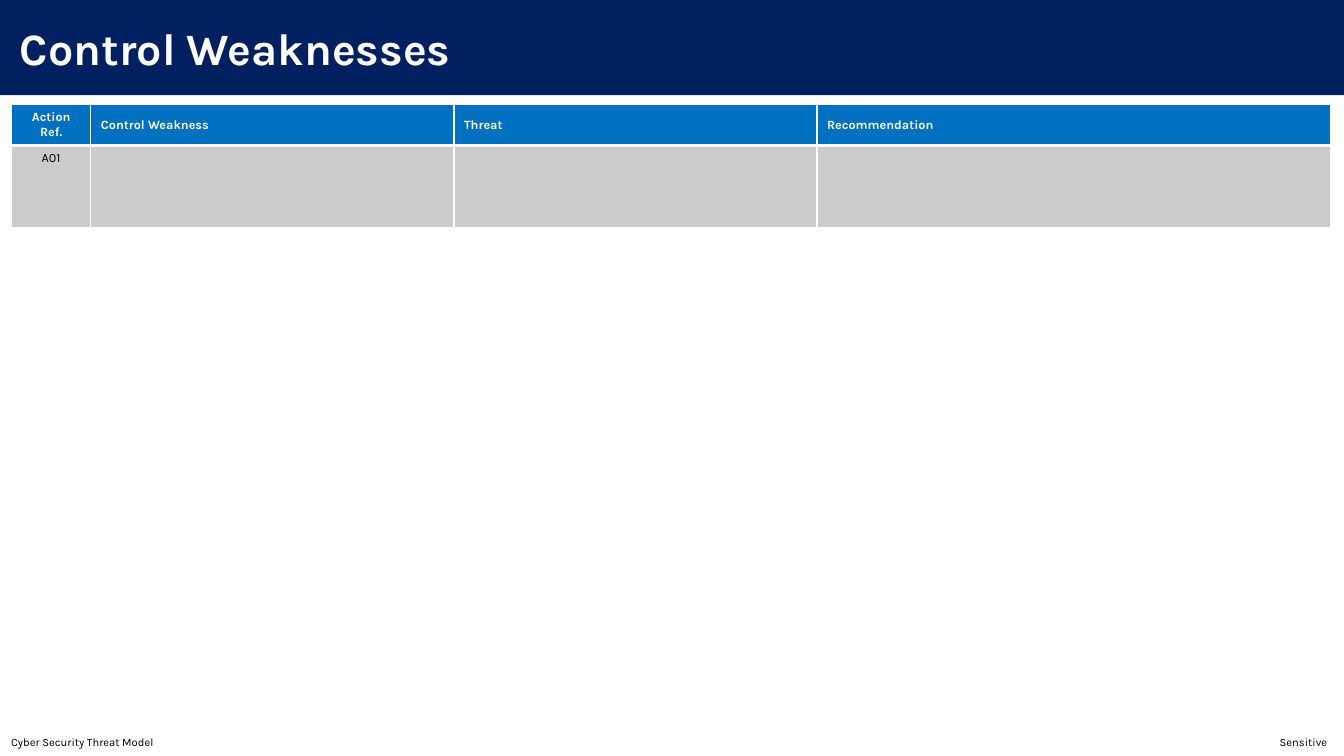
from dataclasses import dataclass

from lxml.etree import SubElement
from pptx import Presentation
from pptx.dml.color import RGBColor
from pptx.enum.text import MSO_ANCHOR as Anchor, MSO_AUTO_SIZE as AutoSize, PP_ALIGN as Align
from pptx.oxml.ns import qn
from pptx.util import Cm, Pt

NAVY = RGBColor(0x00, 0x20, 0x60)
BLUE = RGBColor(0x00, 0x70, 0xC0)
GREY = RGBColor(0xCB, 0xCB, 0xCB)
WHITE = RGBColor(0xFF, 0xFF, 0xFF)
BLACK = RGBColor(0x00, 0x00, 0x00)
FONT = "Karla"
PAGE_WIDTH, PAGE_HEIGHT = Cm(33.87), Cm(19.05)


@dataclass
class Column:
    heading: str
    width: float
    entry: str = ""
    align: Align = Align.LEFT


@dataclass
class RowStyle:
    height: float
    fill: RGBColor
    color: RGBColor
    bold: bool
    anchor: Anchor
    rule_below: float


COLUMNS = [
    Column("Action Ref.", 2.0, "A01", Align.CENTER),
    Column("Control Weakness", 9.15),
    Column("Threat", 9.15),
    Column("Recommendation", 12.95),
]
HEADER = RowStyle(1.04, BLUE, WHITE, True, Anchor.MIDDLE, 3)
BODY = RowStyle(2.06, GREY, BLACK, False, Anchor.TOP, 1)


def style_para(para, size: float, color: RGBColor, bold: bool = False,
               align: Align = Align.LEFT) -> None:
    para.alignment = align
    para.font.name = FONT
    para.font.size = Pt(size)
    para.font.bold = bold
    para.font.color.rgb = color


def add_borders(cell, widths: dict[str, float]) -> None:
    """Draw white cell edges, keyed by side; they must precede the fill."""
    props = cell._tc.get_or_add_tcPr()
    for side, width in widths.items():
        edge = SubElement(props, qn(f"a:ln{side}"), w=str(Pt(width)))
        fill = SubElement(edge, qn("a:solidFill"))
        SubElement(fill, qn("a:srgbClr"), val=str(WHITE))


def fill_cell(cell, text: str, align: Align, style: RowStyle, rule_above: float) -> None:
    add_borders(cell, {"L": 1, "R": 1, "T": rule_above, "B": style.rule_below})
    cell.fill.solid()
    cell.fill.fore_color.rgb = style.fill
    cell.vertical_anchor = style.anchor
    cell.text = text
    style_para(cell.text_frame.paragraphs[0], 9, style.color, style.bold, align)


deck = Presentation()
deck.slide_width, deck.slide_height = PAGE_WIDTH, PAGE_HEIGHT
page = deck.slides.add_slide(deck.slide_layouts[5])

# Title band
title = page.shapes.title
title.left, title.top, title.width, title.height = 0, 0, PAGE_WIDTH, Cm(2.4)
title.fill.solid()
title.fill.fore_color.rgb = NAVY
title.text_frame.text = "Control Weaknesses"
title.text_frame.auto_size = AutoSize.NONE
title.text_frame.vertical_anchor = Anchor.MIDDLE
title.text_frame.margin_left = Cm(0.5)
style_para(title.text_frame.paragraphs[0], 32, WHITE, bold=True)

# Footer: left and right text on one line, parted by a right tab
footer_height = Cm(0.68)
footer = page.shapes.add_textbox(0, PAGE_HEIGHT - footer_height, PAGE_WIDTH, footer_height)
footer.text_frame.word_wrap = True
footer.text_frame.vertical_anchor = Anchor.MIDDLE
footer.text_frame.margin_left = Cm(0.28)
footer.text_frame.text = "Cyber Security Threat Model\tSensitive"
para = footer.text_frame.paragraphs[0]
para_props = para._p.get_or_add_pPr()
tabs = SubElement(para_props, qn("a:tabLst"))
SubElement(tabs, qn("a:tab"), pos=str(Cm(33.17)), algn="r")
style_para(para, 8, BLACK)

# Weakness table
row_styles = [HEADER, BODY]
table = page.shapes.add_table(
    len(row_styles), len(COLUMNS), Cm(0.29), Cm(2.63),
    Cm(sum(column.width for column in COLUMNS)),
    Cm(sum(style.height for style in row_styles)),
).table
for row, style in zip(table.rows, row_styles):
    row.height = Cm(style.height)
for index, column in enumerate(COLUMNS):
    table.columns[index].width = Cm(column.width)
    fill_cell(table.cell(0, index), column.heading, column.align, HEADER, 1)
    fill_cell(table.cell(1, index), column.entry, column.align, BODY, HEADER.rule_below)

deck.save("out.pptx")
